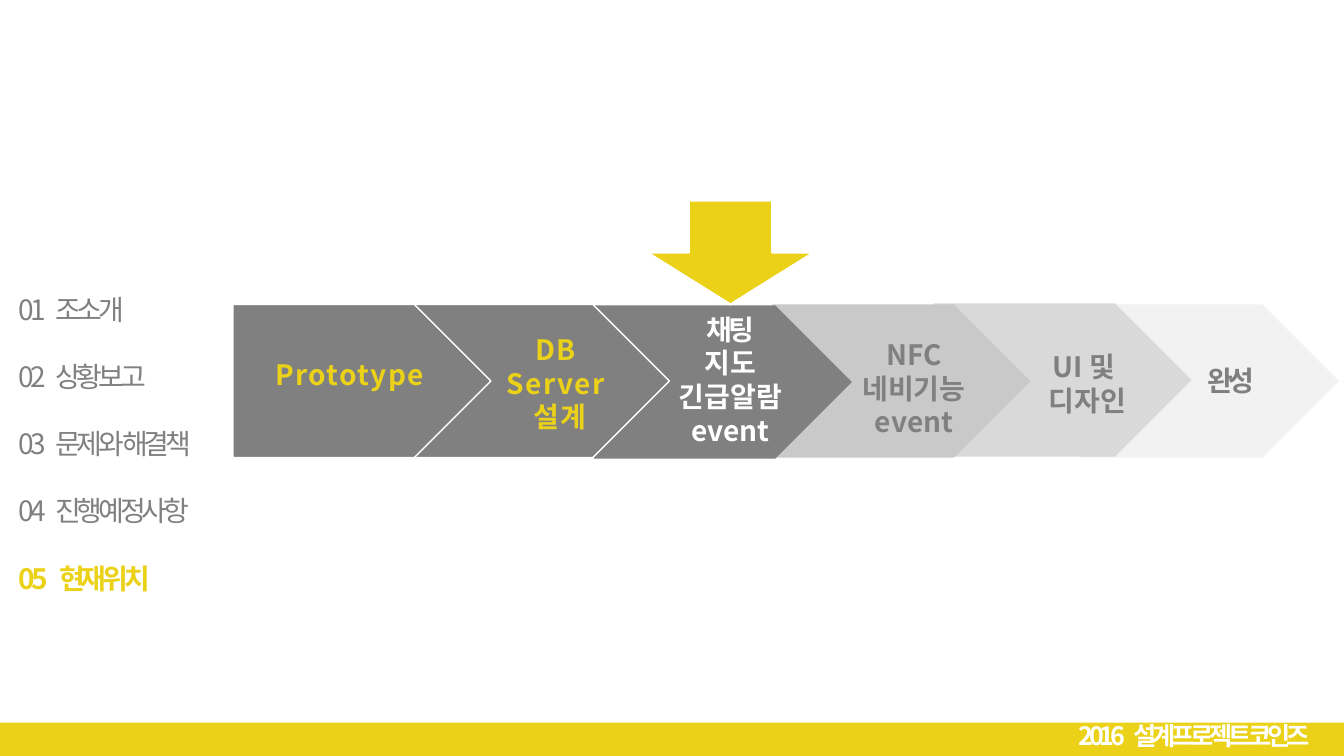
from pptx import Presentation
from pptx.dml.color import RGBColor
from pptx.enum.shapes import MSO_SHAPE as Kind
from pptx.enum.text import PP_ALIGN as Align
from pptx.oxml.ns import qn
from pptx.util import Inches, Pt
from lxml.etree import SubElement

FONT = "Noto Sans CJK KR"
GOLD = RGBColor(0xEB, 0xD2, 0x19)
GRAY = RGBColor(0x80, 0x80, 0x80)
MID = RGBColor(0xC9, 0xC9, 0xC9)
LIGHT = RGBColor(0xD9, 0xD9, 0xD9)
PALE = RGBColor(0xF2, 0xF2, 0xF2)
WHITE = RGBColor(0xFF, 0xFF, 0xFF)

MENU = ["01\t조소개", "02\t상황보고", "03\t문제와 해결책", "04\t진행예정사항", "05\t현재위치"]
PLATES = [(8.41, 0, PALE, 0), (6.95, -0.01, LIGHT, 0), (5.35, 0, MID, 0),
          (3.58, 0.01, GRAY, 0), (1.77, 0, GRAY, 1), (0, 0, GRAY, 1)]
LABELS = [
    (-0.19, 0.48, 2.7, GOLD, 1, ["Prototype"]),
    (1.32, 0.23, 3.84, GOLD, 1, ["DB ", "Server ", "설계"]),
    (4.11, 0.03, 1.65, WHITE, 0, ["채팅", "지도", "긴급알람", "event"]),
    (5.93, 0.28, 1.65, GRAY, 0, ["NFC", "네비기능 event"]),
    (7.65, 0.4, 1.65, GRAY, 0, ["UI 및 ", "디자인"]),
    (9.2, 0.54, 1.4, GRAY, -3, ["완성"]),
]


def shape(slide, kind, box, fill, line=0):
    """Draw a flat preset shape with an optional white outline."""
    item = slide.shapes.add_shape(kind, *map(Inches, box))
    item.shadow.inherit = False
    item.fill.solid()
    item.fill.fore_color.rgb = fill
    if line:
        item.line.color.rgb = WHITE
        item.line.width = Pt(line)
    else:
        item.line.fill.background()


def write(para, words, color, size=20, bold=True, space=0):
    """Add one run with its font, colour and letter spacing."""
    run = para.add_run()
    run.text = words
    style = {"name": FONT, "size": Pt(size), "bold": bold}
    for key, value in style.items():
        setattr(run.font, key, value)
    run.font.color.rgb = color
    props = run.font._element
    props.set("spc", str(space * 100))
    SubElement(props, qn("a:ea")).set("typeface", FONT)


def frame(slide, box, count):
    """Add a wrapping text box and return its paragraphs."""
    text = slide.shapes.add_textbox(*map(Inches, box)).text_frame
    text.word_wrap = True
    for _ in range(count - 1):
        text.add_paragraph()
    return text.paragraphs


def tab(para, stop):
    """Set a left tab stop."""
    tabs = SubElement(para._p.get_or_add_pPr(), qn("a:tabLst"))
    SubElement(tabs, qn("a:tab"), pos=str(Inches(stop)), algn="l")


def menu(slide, box):
    """List the chapters, with the last one marked as current."""
    for para, words in zip(frame(slide, box, len(MENU)), MENU):
        now = words == MENU[-1]
        para.space_after = Pt(24)
        tab(para, 0.4 if now else 0.36)
        write(para, words, GOLD if now else GRAY, bold=now, space=-3)


def footer(slide, box):
    """Draw the bottom band and its caption."""
    left, top, wide, high = box
    shape(slide, Kind.RECTANGLE, box, GOLD)
    para = frame(slide, (left + 10.6, top - 0.07, 2.7, 0.4), 1)[0]
    tab(para, 0.54)
    write(para, "2016\t설계프로젝트 코인즈", WHITE, 18, space=-3)


def steps(slide, box):
    """Draw the overlapping stages, their labels and the arrow."""
    left, top, wide, high = box
    for x, y, fill, line in PLATES:
        shape(slide, Kind.PENTAGON, (left + x, top + y, wide, high), fill, line)
    for x, y, width, color, space, lines in LABELS:
        paras = frame(slide, (left + x, top + y, width, 0.1 + 0.34 * len(lines)), len(lines))
        for para, words in zip(paras, lines):
            para.alignment = Align.CENTER
            write(para, words, color, space=-3 if words == "채팅" else space)
    shape(slide, Kind.DOWN_ARROW, (left + 4.11, top - 1.03, 1.65, 1.03), GOLD, 1.5)


def main():
    """Build and save the slide."""
    deck = Presentation()
    deck.slide_width, deck.slide_height = Inches(13.33), Inches(7.5)
    slide = deck.slides.add_slide(deck.slide_layouts[6])
    menu(slide, (0.09, 2.85, 2.1, 3.8))
    footer(slide, (0, 7.17, 13.33, 0.33))
    steps(slide, (2.31, 3.02, 2.56, 1.52))
    deck.save("out.pptx")


if __name__ == "__main__":
    main()
